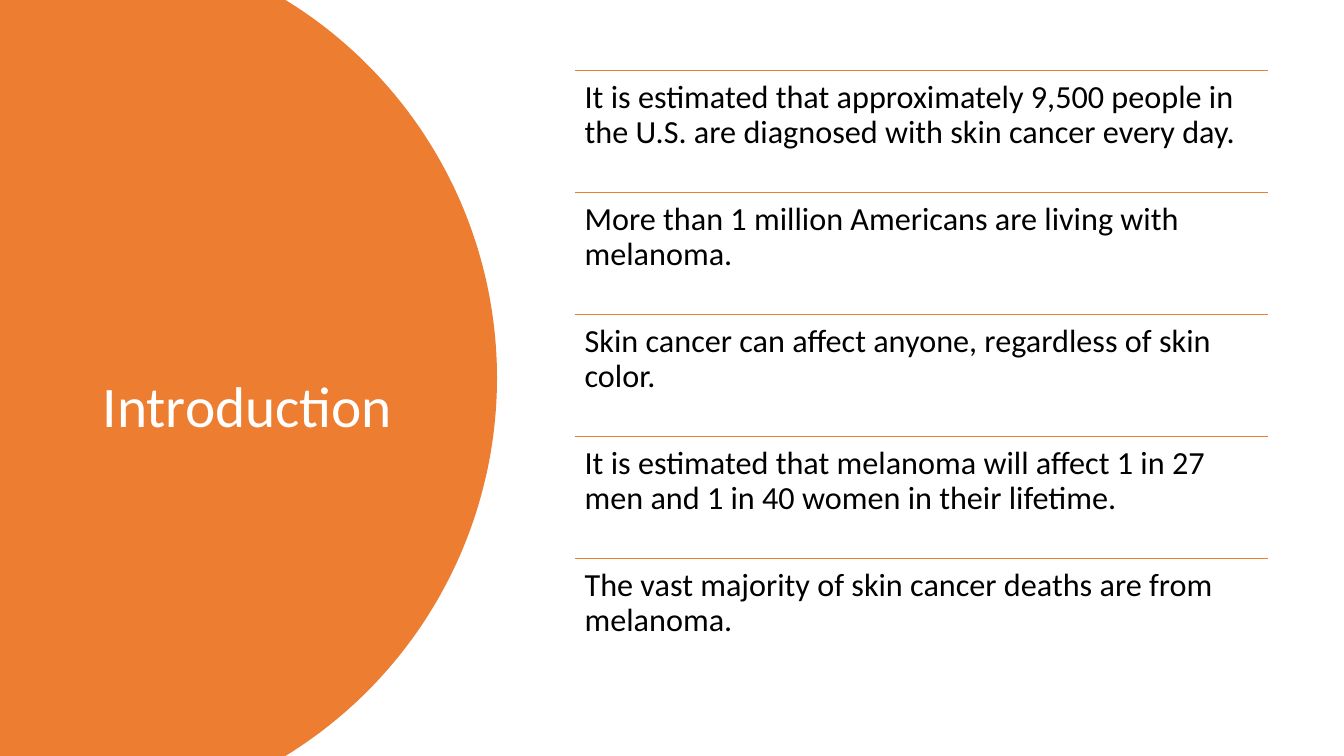
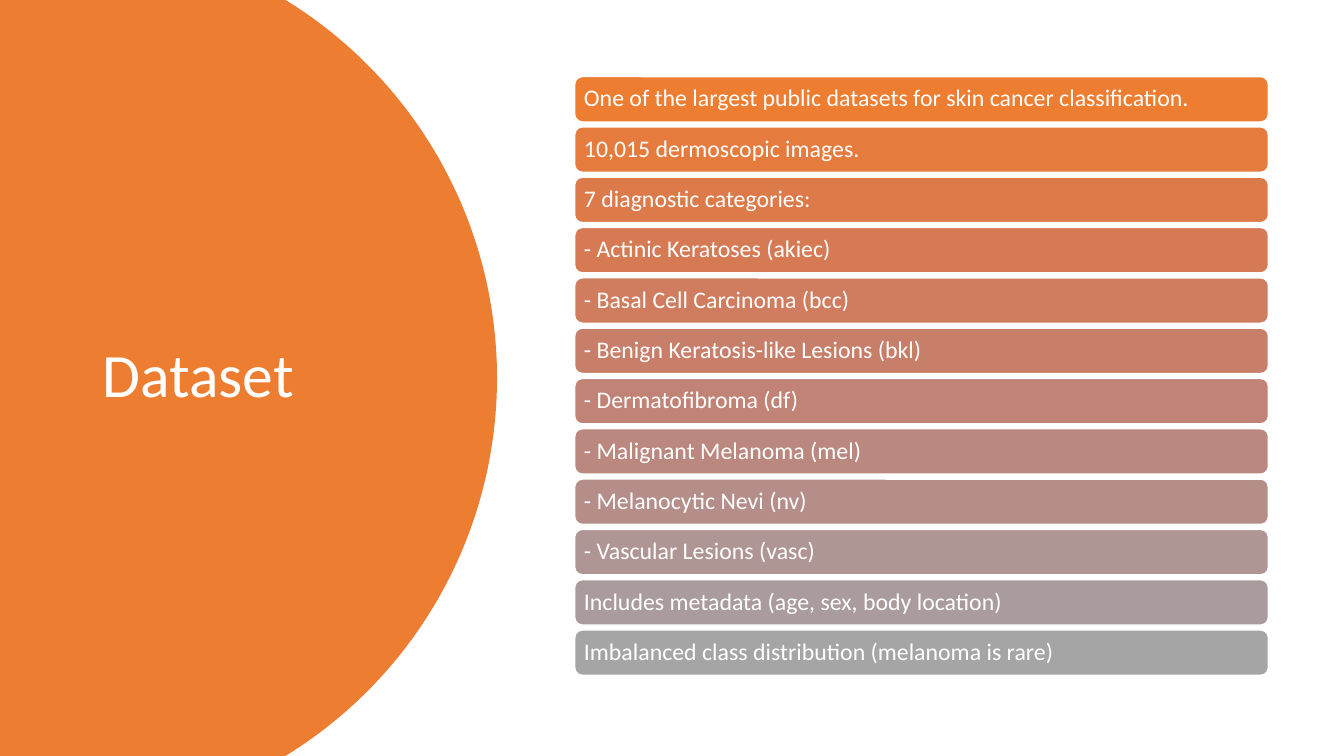
import colorsys
import math

from pptx import Presentation
from pptx import util as u
from pptx.dml.color import RGBColor
from pptx.enum import shapes, text
from pptx.oxml import ns
from lxml import etree

# Shared style
FONT = "Calibri"
ORANGE, GREY, WHITE, BLACK = "ED7D31", "A5A5A5", "FFFFFF", "000000"
LEFT, WIDTH = 5.7, 6.88
TOP = 0.7

FACTS = [
    "It is estimated that approximately 9,500 people in the U.S. are "
    "diagnosed with skin cancer every day.",
    "More than 1 million Americans are living with melanoma.",
    "Skin cancer can affect anyone, regardless of skin color.",
    "It is estimated that melanoma will affect 1 in 27 men and 1 in 40 "
    "women in their lifetime.",
    "The vast majority of skin cancer deaths are from melanoma.",
]
DETAILS = [
    "One of the largest public datasets for skin cancer classification.",
    "10,015 dermoscopic images.",
    "7 diagnostic categories:",
    "- Actinic Keratoses (akiec)",
    "- Basal Cell Carcinoma (bcc)",
    "- Benign Keratosis-like Lesions (bkl)",
    "- Dermatofibroma (df)",
    "- Malignant Melanoma (mel)",
    "- Melanocytic Nevi (nv)",
    "- Vascular Lesions (vasc)",
    "Includes metadata (age, sex, body location)",
    "Imbalanced class distribution (melanoma is rare)",
]


def color(code):
    return RGBColor.from_string(code)


def blend(start, end, part):
    """Mix two colours by hue, lightness and saturation."""
    pair = []
    for code in (start, end):
        rgb = [int(code[i:i + 2], 16) / 255 for i in (0, 2, 4)]
        pair.append(colorsys.rgb_to_hls(*rgb))
    mix = [a + (b - a) * part for a, b in zip(*pair)]
    return "".join(f"{round(v * 255):02X}" for v in colorsys.hls_to_rgb(*mix))


def write(shape, words, size, ink, inset, anchor):
    frame = shape.text_frame
    frame.word_wrap = True
    frame.vertical_anchor = anchor
    frame.margin_left = frame.margin_right = u.Inches(inset)
    frame.margin_top = frame.margin_bottom = u.Inches(min(inset, 0.1))
    para = frame.paragraphs[0]
    para.alignment = text.PP_ALIGN.LEFT
    para.line_spacing = 0.9
    run = para.add_run()
    run.text = words
    run.font.name = FONT
    run.font.size = u.Pt(size)
    run.font.color.rgb = color(ink)


def label(slide, box, words, size, ink, anchor):
    shape = slide.shapes.add_textbox(*map(u.Inches, box))
    write(shape, words, size, ink, 0.1, anchor)


def rule(slide, y):
    line = slide.shapes.add_connector(
        shapes.MSO_CONNECTOR.STRAIGHT, u.Inches(LEFT), u.Inches(y),
        u.Inches(LEFT + WIDTH), u.Inches(y))
    line.line.color.rgb = color(ORANGE)
    line.line.width = u.Pt(1)
    etree.SubElement(line._element.spPr, ns.qn("a:effectLst"))


def bar(slide, y, words, fill):
    shape = slide.shapes.add_shape(
        shapes.MSO_SHAPE.ROUNDED_RECTANGLE,
        *map(u.Inches, (LEFT, y, WIDTH, 0.45)))
    shape.shadow.inherit = False
    shape.fill.solid()
    shape.fill.fore_color.rgb = color(fill)
    shape.line.color.rgb = color(WHITE)
    shape.line.width = u.Pt(1)
    write(shape, words, 17, WHITE, 0.07, text.MSO_ANCHOR.MIDDLE)


def panel(slide):
    """Draw the left panel, closed by an arc on its right."""
    mid, radius, steps = 3.75, 4.4, 120
    center = 4.93 - radius
    reach = math.asin(mid / radius)
    arc = []
    for i in range(steps + 1):
        turn = reach * (2 * i / steps - 1)
        arc.append((u.Inches(center + radius * math.cos(turn)),
                    u.Inches(mid + radius * math.sin(turn))))
    pen = slide.shapes.build_freeform(0, 0)
    pen.add_line_segments(arc + [(0, u.Inches(2 * mid))], close=True)
    shape = pen.convert_to_shape()
    shape.shadow.inherit = False
    shape.fill.solid()
    shape.fill.fore_color.rgb = color(ORANGE)
    shape.line.fill.background()


def start(deck, title, size, drop=0):
    """Add a slide with its panel and title."""
    slide = deck.slides.add_slide(deck.slide_layouts[6])
    panel(slide)
    label(slide, (0.92, TOP + drop, 3.23, 6.09), title, size, WHITE,
          text.MSO_ANCHOR.MIDDLE)
    return slide


def main():
    deck = Presentation()
    deck.slide_width, deck.slide_height = u.Inches(13.33), u.Inches(7.5)

    # Facts between rules
    slide = start(deck, "Introduction", 41, drop=0.31)
    step = 1.21
    for i, fact in enumerate(FACTS):
        y = TOP + i * step
        rule(slide, y)
        label(slide, (LEFT, y, WIDTH, step), fact, 23, BLACK,
              text.MSO_ANCHOR.TOP)

    # Bars fading from orange to grey
    slide = start(deck, "Dataset", 44)
    first, last = 0.76, 6.25
    for i, detail in enumerate(DETAILS):
        part = i / (len(DETAILS) - 1)
        bar(slide, first + (last - first) * part, detail,
            blend(ORANGE, GREY, part))

    deck.save("out.pptx")


if __name__ == "__main__":
    main()
